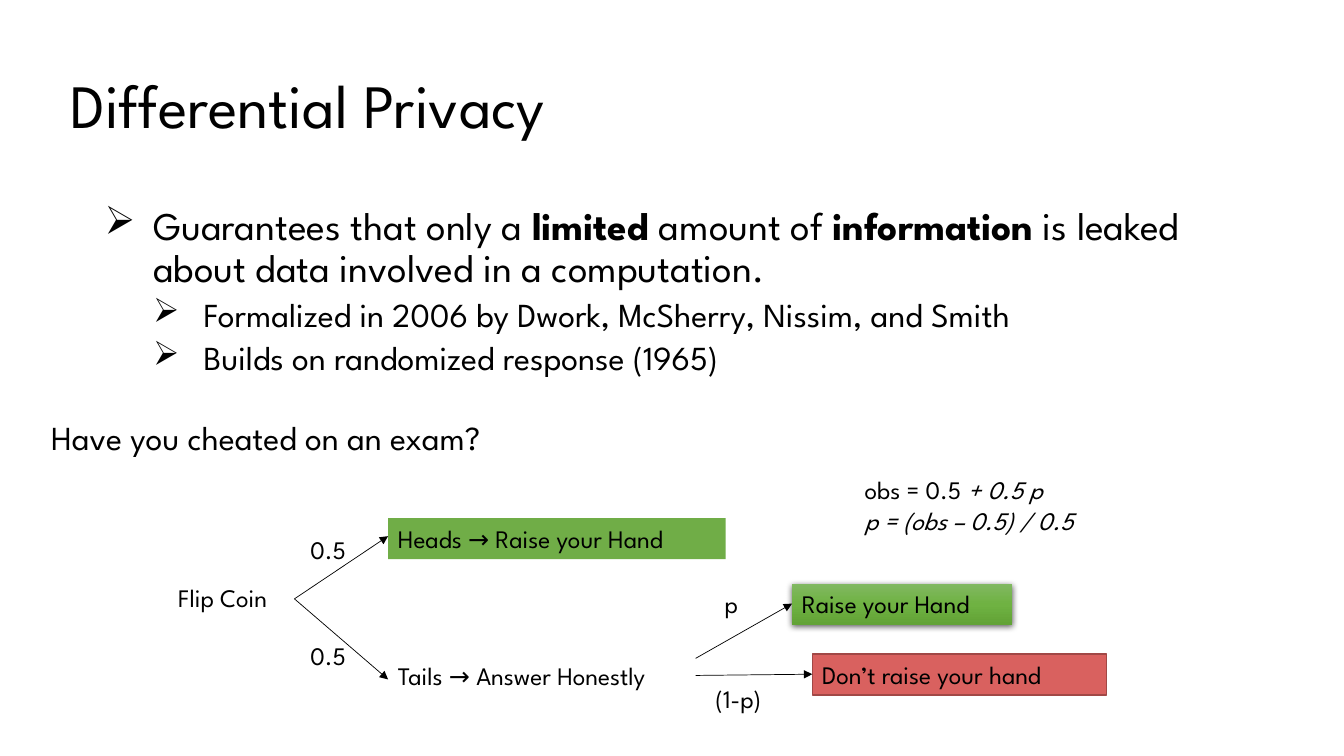
"""Build a slide on differential privacy with a randomized response tree."""
import copy

import lxml.etree
import pptx
import pptx.dml.color
import pptx.enum.shapes
import pptx.enum.text
import pptx.oxml.ns
import pptx.util

Cm = pptx.util.Cm
Pt = pptx.util.Pt
RGBColor = pptx.dml.color.RGBColor
qn = pptx.oxml.ns.qn

FONT = "League Spartan"
BLACK = RGBColor(0x00, 0x00, 0x00)
GREEN = RGBColor(0x70, 0xAD, 0x47)
RED = RGBColor(0xD9, 0x61, 0x5F)
DARK_RED = RGBColor(0xA1, 0x48, 0x46)
GREEN_SHADES = [
    RGBColor(0x81, 0xB8, 0x61),
    RGBColor(0x6F, 0xB2, 0x42),
    RGBColor(0x62, 0xA3, 0x36),
]

deck = pptx.Presentation()
deck.slide_width = Cm(33.87)
deck.slide_height = Cm(19.05)
slide = deck.slides.add_slide(deck.slide_layouts[6])


def write(text, left, top, width, height=1.03, size=18, fill=None, border=None,
          emphasis="bold", middle=False, spacing=None, margin_right=0):
    """Place text in a box; parts between bars get the emphasis."""
    place = [Cm(length) for length in (left, top, width, height)]
    if fill is None:
        box = slide.shapes.add_textbox(*place)
    else:
        box = slide.shapes.add_shape(pptx.enum.shapes.MSO_SHAPE.RECTANGLE, *place)
        box.shadow.inherit = False
        box.fill.solid()
        box.fill.fore_color.rgb = fill
        if border is None:
            box.line.fill.background()
        else:
            box.line.color.rgb = border
            box.line.width = Pt(1)
    frame = box.text_frame
    frame.word_wrap = True
    frame.margin_right = Cm(margin_right)
    anchors = pptx.enum.text.MSO_ANCHOR
    frame.vertical_anchor = anchors.MIDDLE if middle else anchors.TOP
    for number, line in enumerate(text.split("\n")):
        paragraph = frame.add_paragraph() if number else frame.paragraphs[0]
        paragraph.alignment = pptx.enum.text.PP_ALIGN.LEFT
        if spacing:
            paragraph.line_spacing = spacing
        for position, part in enumerate(line.split("|")):
            if part:
                run = paragraph.add_run()
                run.text = part
                run.font.name = FONT
                run.font.size = Pt(size)
                run.font.color.rgb = BLACK
                if position % 2:
                    setattr(run.font, emphasis, True)
    return box


write("Differential Privacy", 1.52, 0.89, 30, 3.68, size=44, middle=True, spacing=0.9)

claims = write(
    "Guarantees that only a |limited| amount of |information| is leaked "
    "about data involved in a computation.\n"
    "Formalized in 2006 by Dwork, McSherry, Nissim, and Smith\n"
    "Builds on randomized response (1965)",
    2.34, 5.08, 30, 5.16, size=28, spacing=0.9, margin_right=0.25)
for number, claim in enumerate(claims.text_frame.paragraphs):
    indent, hanging = (2.54, 1.27) if number else (1.27, 1.22)
    if number:
        claim.level = 1
        claim.space_before = Pt(5)
        claim.runs[0].font.size = Pt(24)
    properties = claim._p.get_or_add_pPr()
    properties.set("marL", str(Cm(indent)))
    properties.set("indent", str(-Cm(hanging)))
    lxml.etree.SubElement(properties, qn("a:buChar")).set("char", "➢")

write("Have you cheated on an exam?", 1.04, 10.39, 14.12, 1.27, size=24)

write("Flip Coin", 4.24, 14.55, 3.15)
for top in (13.34, 16):
    write("0.5", 7.57, top, 1.4)
write("Heads → Raise your Hand", 9.78, 13.06, 8.51, fill=GREEN)
write("Tails → Answer Honestly", 9.78, 16.51, 7.75)
write("p", 18.01, 14.71, 1.4)
write("(1-p)", 17.78, 17.09, 2.18)
raised = write("Raise your Hand", 19.96, 14.71, 5.54, fill=GREEN)
write("Don’t raise your hand", 20.47, 16.48, 7.42, fill=RED, border=DARK_RED)
write("obs = 0.5| + 0.5 p|\n|p = (obs – 0.5) / 0.5|", 21.54, 11.84, 6.38, 1.8,
      emphasis="italic")

raised.fill.gradient()
raised.fill.gradient_angle = 270
stops = raised._element.spPr.find(".//" + qn("a:gsLst"))
stops.insert(1, copy.deepcopy(stops[0]))
for number, (stop, shade) in enumerate(zip(raised.fill.gradient_stops, GREEN_SHADES)):
    stop.position = number / 2
    stop.color.rgb = shade

effects = raised._element.spPr.find(qn("a:effectLst"))
shadow = lxml.etree.SubElement(effects, qn("a:outerShdw"))
for name, value in (("blurRad", Pt(4.5)), ("dist", Pt(1.5)), ("dir", 90 * 60000),
                    ("algn", "ctr"), ("rotWithShape", 0)):
    shadow.set(name, str(value))
shadow_color = lxml.etree.SubElement(shadow, qn("a:srgbClr"))
shadow_color.set("val", str(BLACK))
lxml.etree.SubElement(shadow_color, qn("a:alpha")).set("val", "63000")

branches = [
    (7.42, 15.09, 9.78, 13.51),
    (7.42, 15.09, 9.78, 17.12),
    (17.53, 16.59, 19.96, 15.21),
    (17.53, 17.02, 20.47, 16.99),
]
for ends in branches:
    branch = slide.shapes.add_connector(
        pptx.enum.shapes.MSO_CONNECTOR.STRAIGHT, *[Cm(end) for end in ends])
    branch.line.color.rgb = BLACK
    branch.line.width = Pt(0.5)
    outline = branch.line._get_or_add_ln()
    lxml.etree.SubElement(outline, qn("a:tailEnd")).set("type", "triangle")
    lxml.etree.SubElement(branch._element.spPr, qn("a:effectLst"))

deck.save("out.pptx")
